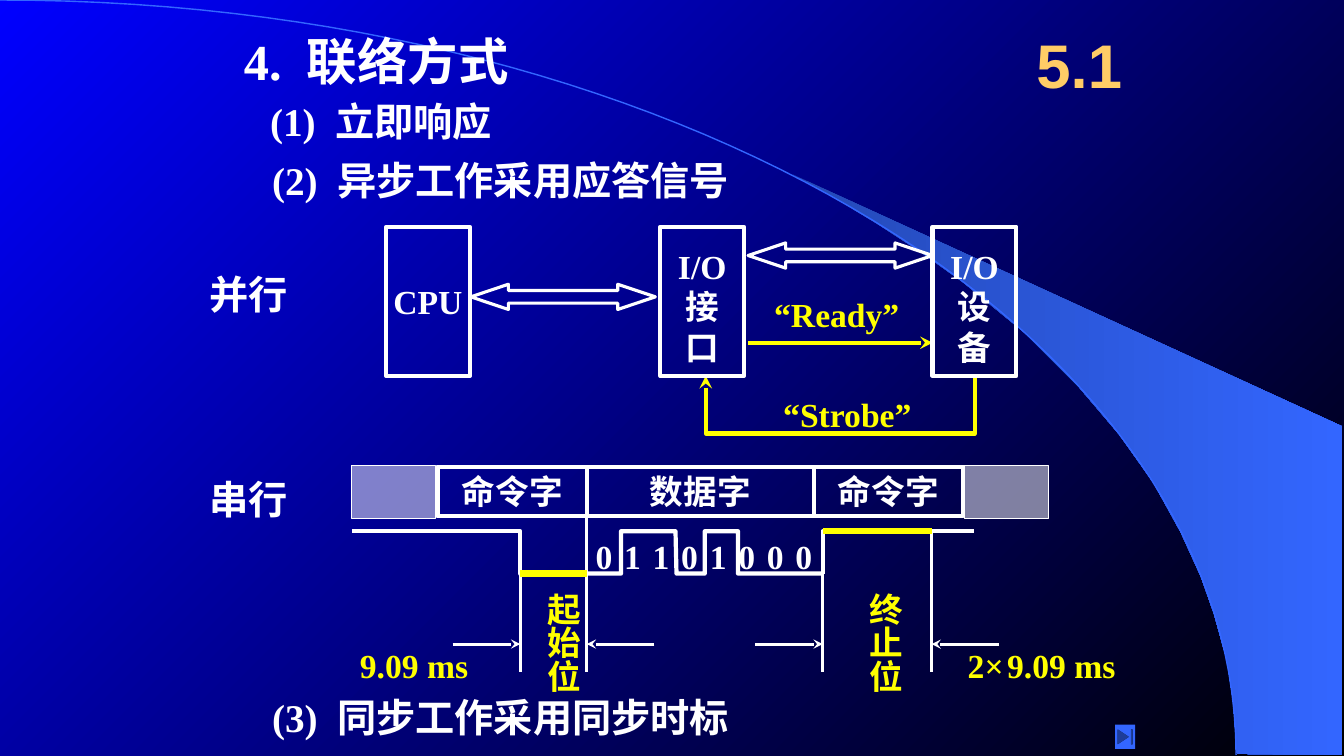
"""Build the slide on handshaking modes between an I/O interface and an I/O device."""
from dataclasses import dataclass
from itertools import accumulate

from lxml import etree
from pptx import Presentation
from pptx.dml.color import RGBColor
from pptx.enum.shapes import MSO_CONNECTOR, MSO_SHAPE
from pptx.enum.text import MSO_ANCHOR, MSO_AUTO_SIZE, PP_ALIGN
from pptx.oxml.ns import qn
from pptx.util import Inches, Pt

RECT = MSO_SHAPE.RECTANGLE
DOUBLE_ARROW = MSO_SHAPE.LEFT_RIGHT_ARROW
END_BUTTON = MSO_SHAPE.ACTION_BUTTON_END
STRAIGHT = MSO_CONNECTOR.STRAIGHT
CENTER = PP_ALIGN.CENTER
MIDDLE = MSO_ANCHOR.MIDDLE
FIT_SHAPE = MSO_AUTO_SIZE.SHAPE_TO_FIT_TEXT

WHITE, YELLOW, BLUE, ORANGE = "FFFFFF", "FFFF00", "3366FF", "FFCC66"
SERIF, SANS = "Times New Roman", "Arial"
Point = tuple[float, float]


@dataclass
class Label:
    text: str
    left: float
    top: float
    width: float
    height: float
    size: int = 24
    color: str = WHITE
    font: str = SERIF
    wrap: bool = False
    vertical: bool = False
    centered: bool = False


@dataclass
class Box:
    text: str
    left: float
    top: float
    width: float
    height: float
    text_drop: float = 0


@dataclass
class Stroke:
    points: list[Point]
    color: str = WHITE
    weight: float = 2.25
    arrow: bool = False


def rgb(color: str) -> RGBColor:
    return RGBColor.from_string(color)


def shade(fill, start: str, end: str, angle: float) -> None:
    fill.gradient()
    fill.gradient_angle = angle
    for stop, color in zip(fill.gradient_stops, (start, end)):
        stop.color.rgb = rgb(color)


def style_line(shape, stroke: Stroke) -> None:
    shape.line.color.rgb = rgb(stroke.color)
    shape.line.width = Pt(stroke.weight)
    if stroke.arrow:
        outline = shape.element.spPr.find(qn("a:ln"))
        etree.SubElement(outline, qn("a:tailEnd"), type="stealth")


def style_run(run, size: float, color: str = WHITE, font: str = SERIF) -> None:
    run.font.name, run.font.size, run.font.bold = font, Pt(size), True
    run.font.color.rgb = rgb(color)


def add_label(slide, label: Label):
    box = slide.shapes.add_textbox(*map(Inches, (label.left, label.top, label.width, label.height)))
    frame = box.text_frame
    frame.text = label.text
    frame.word_wrap = label.wrap
    if label.centered:
        frame.vertical_anchor = MIDDLE
        frame.paragraphs[0].alignment = CENTER
    else:
        frame.auto_size = FIT_SHAPE
    if label.vertical:
        box.element.txBody.find(qn("a:bodyPr")).set("vert", "eaVert")
    style_run(frame.paragraphs[0].runs[0], label.size, label.color, label.font)
    return box


def add_heading(slide, number: str, title: str, left: float, top: float,
                width: float, height: float, size: int) -> None:
    heading = add_label(slide, Label(number, left, top, width, height, size, wrap=True))
    paragraph = heading.text_frame.paragraphs[0]
    for text in (" ", title):
        run = paragraph.add_run()
        run.text = text
        style_run(run, size)
        if text == " ":
            run.font._element.set("spc", str(size * 25))


def add_plain(slide, preset, left: float, top: float, width: float, height: float):
    shape = slide.shapes.add_shape(preset, *map(Inches, (left, top, width, height)))
    shape.shadow.inherit = False
    shape.fill.background()
    return shape


def add_box(slide, box: Box) -> None:
    shape = add_plain(slide, RECT, box.left, box.top, box.width, box.height)
    style_line(shape, Stroke([], weight=3))
    frame = shape.text_frame
    frame.text = box.text
    frame.word_wrap = False
    frame.vertical_anchor = MIDDLE
    frame.margin_top, frame.margin_bottom = Inches(0.05 + box.text_drop), Inches(0.05 - box.text_drop)
    for paragraph in frame.paragraphs:
        paragraph.alignment = CENTER
        style_run(paragraph.runs[0], 24)


def add_outline(slide, points: list[Point], close: bool = False):
    corners = [(Inches(x), Inches(y)) for x, y in points]
    builder = slide.shapes.build_freeform(*corners[0])
    builder.add_line_segments(corners[1:], close=close)
    shape = builder.convert_to_shape()
    shape.shadow.inherit = False
    shape.fill.background()
    return shape


def add_stroke(slide, stroke: Stroke) -> None:
    if len(stroke.points) > 2:
        style_line(add_outline(slide, stroke.points), stroke)
        return
    ends = [Inches(value) for point in stroke.points for value in point]
    line = slide.shapes.add_connector(STRAIGHT, *ends)
    style_line(line, stroke)
    etree.SubElement(line.element.spPr, qn("a:effectLst"))


def add_backdrop(slide) -> None:
    shade(slide.background.fill, "0000FF", "000000", 315)
    beam = add_outline(slide, [
        (12.27, 7.48), (13.31, 7.49), (13.31, 4.23), (7.86, 1.73), (8.32, 1.99), (8.7, 2.22),
        (9.13, 2.5), (9.55, 2.8), (10.16, 3.3), (10.7, 3.84), (11.1, 4.31), (11.44, 4.79),
        (11.71, 5.28), (11.91, 5.72), (12.04, 6.09), (12.17, 6.56), (12.23, 6.96)], close=True)
    shade(beam.fill, "2449B6", BLUE, 0)
    beam.line.fill.background()
    steps = [i / 60 for i in range(61)]
    arc = [(3 * 6.77 * t * (1 - t) ** 2 + 12.26 * (3 * t ** 2 * (1 - t) + t ** 3),
            3 * 3.35 * t ** 2 * (1 - t) + 7.49 * t ** 3) for t in steps]
    add_stroke(slide, Stroke(arc, BLUE, 1))


def add_serial_frame(slide) -> None:
    words = [("命令字", 1.48), ("数据字", 2.25), ("命令字", 1.48)]
    lefts = accumulate((width for _, width in words), initial=4.34)
    for (word, width), left in zip(words, lefts):
        add_box(slide, Box(word, left, 4.63, width, 0.49))
    for left in (9.57, 3.49):
        neighbour = add_plain(slide, RECT, left, 4.62, 0.83, 0.52)
        neighbour.fill.solid()
        neighbour.fill.fore_color.rgb = rgb(WHITE)
        tint = neighbour.element.spPr.find(qn("a:solidFill"))[0]
        etree.SubElement(tint, qn("a:alpha"), val="50000")
        style_line(neighbour, Stroke([], weight=0.75))
    for i, bit in enumerate("01101000"):
        add_label(slide, Label(bit, 5.81 + 1.98 / 7 * i, 5.27, 0.37, 0.5))

    high, low, start, data, stop, end = 5.27, 5.69, 5.16, 5.82, 8.16, 9.24
    data_wave = [(data, low), (6.16, low), (6.16, high), (6.7, high), (6.71, low),
                 (6.99, low), (6.99, high), (7.32, high), (7.32, low), (stop, low)]
    idle_wave = [(3.49, high), (start, high), (start, low), (data, low)]
    stop_wave = [(stop, low), (stop, high), (9.66, high)]
    strokes = [Stroke(wave, weight=3) for wave in (data_wave, idle_wave, stop_wave)]
    strokes += [Stroke([(x, top), (x, 6.67)])
                for x, top in ((start, 5.54), (data, 5.12), (stop, 5.54), (end, 5.26))]
    strokes += [Stroke([(x + offset, 6.39), (x, 6.39)], arrow=True)
                for x, offset in ((start, -0.67), (stop, -0.67), (data, 0.67), (end, 0.67))]
    strokes += [Stroke([(x, y), (x_end, y)], YELLOW, 4.5)
                for x, x_end, y in ((start, data, low), (stop, end, high))]
    for stroke in strokes:
        add_stroke(slide, stroke)
    for text, left in (("起始位", 5.22), ("终止位", 8.42)):
        add_label(slide, Label(text, left, 5.78, 0.61, 1.12, color=YELLOW, vertical=True))
    add_label(slide, Label("9.09 ms", 3.47, 6.35, 1.28, 0.5, color=YELLOW))
    stop_time = add_label(slide, Label("2×", 9.5, 6.35, 2, 0.5, color=YELLOW, wrap=True))
    for text, size in ((" ", 10), ("9.09 ms", 24)):
        run = stop_time.text_frame.paragraphs[0].add_run()
        run.text = text
        style_run(run, size, YELLOW)


def add_parallel_link(slide) -> None:
    add_stroke(slide, Stroke([(7.42, 3.4), (9.25, 3.4)], YELLOW, 3, True))
    add_stroke(slide, Stroke([(9.67, 3.73), (9.67, 4.3), (7, 4.3), (7, 3.73)], YELLOW, 3, True))
    add_label(slide, Label("“Ready”", 7.58, 2.87, 1.62, 0.51, color=YELLOW))
    add_label(slide, Label("“Strobe”", 7.67, 3.86, 1.66, 0.51, color=YELLOW))
    for text, left, drop in (("I/O\n接\n口", 6.55, 0.05), ("I/O\n设\n备", 9.25, 0.05), ("CPU", 3.83, 0)):
        add_box(slide, Box(text, left, 2.25, 0.83, 1.48, drop))
    for left, top in ((7.42, 2.41), (4.67, 2.82)):
        bus = add_plain(slide, DOUBLE_ARROW, left, top, 1.83, 0.25)
        bus.adjustments[0], bus.adjustments[1] = 0.5, 1.49
        style_line(bus, Stroke([]))


def main() -> None:
    deck = Presentation()
    deck.slide_width, deck.slide_height = Inches(13.33), Inches(7.5)
    slide = deck.slides.add_slide(deck.slide_layouts[6])
    add_backdrop(slide)
    add_serial_frame(slide)
    add_heading(slide, "4.", "联络方式", 2.32, 0.25, 3.52, 0.7, 36)
    add_heading(slide, "(1)", "立即响应", 2.58, 0.92, 3.08, 0.57, 28)
    add_heading(slide, "(2)", "异步工作采用应答信号", 2.6, 1.5, 5.23, 0.57, 28)
    add_parallel_link(slide)
    add_heading(slide, "(3)", "同步工作采用同步时标", 2.6, 6.83, 5.07, 0.57, 28)
    add_label(slide, Label("5.1", 10.08, 0.17, 1.25, 0.92, 44, ORANGE, SANS, wrap=True, centered=True))
    for mode, top in (("并行", 2.63), ("串行", 4.67)):
        add_label(slide, Label(mode, 1.98, top, 0.99, 0.57, 28))
    end_button = add_plain(slide, END_BUTTON, 11.06, 7.19, 0.2, 0.24)
    end_button.fill.solid()
    end_button.fill.fore_color.rgb = rgb(BLUE)
    end_button.line.fill.background()
    deck.save("out.pptx")


if __name__ == "__main__":
    main()
